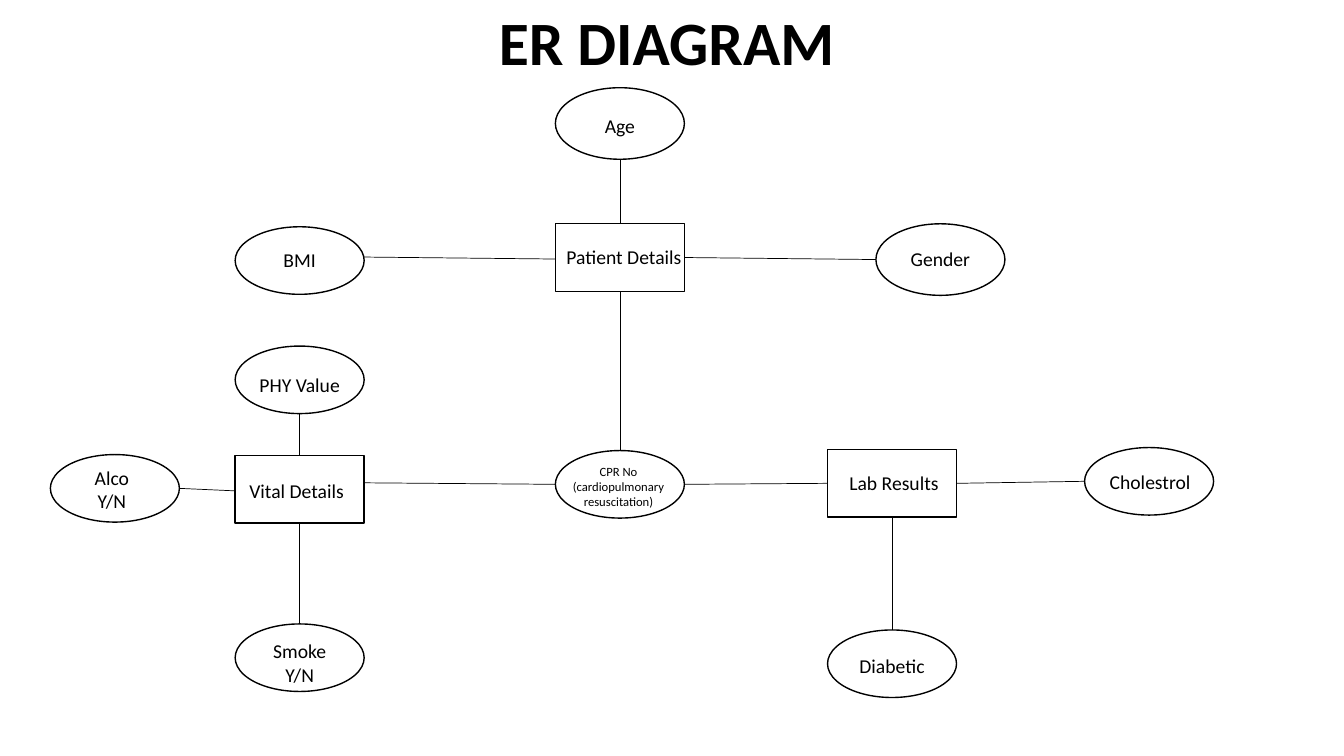
from lxml import etree
from pptx import Presentation
from pptx.dml.color import RGBColor
from pptx.enum.shapes import MSO_CONNECTOR, MSO_SHAPE
from pptx.enum.text import MSO_ANCHOR, MSO_AUTO_SIZE, PP_ALIGN
from pptx.oxml.ns import qn
from pptx.util import Inches, Pt

OVAL, RECT = MSO_SHAPE.OVAL, MSO_SHAPE.RECTANGLE
STRAIGHT = MSO_CONNECTOR.STRAIGHT
CENTER, MIDDLE = PP_ALIGN.CENTER, MSO_ANCHOR.MIDDLE
GROW = MSO_AUTO_SIZE.SHAPE_TO_FIT_TEXT
COLS, ROWS = 80, 45
NODE_W, NODE_H, TALL_H = 7.68, 4.02, 4.26

NODES = {
    "age": (OVAL, 33.06, 5.22, TALL_H),
    "patient": (RECT, 33.06, 13.32, NODE_H),
    "gender": (OVAL, 52.14, 13.32, TALL_H),
    "bmi": (OVAL, 14, 13.5, NODE_H),
    "cpr": (OVAL, 33.06, 26.82, NODE_H),
    "phy": (OVAL, 14, 20.6, NODE_H),
    "alco": (OVAL, 3, 27.06, NODE_H),
    "smoke": (OVAL, 14, 37.14, NODE_H),
    "cholestrol": (OVAL, 64.56, 26.64, NODE_H),
    "diabetic": (OVAL, 49.26, 37.5, NODE_H),
    "lab": (RECT, 49.26, 26.76, NODE_H),
    "vital": (RECT, 14, 27.12, NODE_H),
}

LABELS = [
    ("age", ["Age"], 0, 1.26),
    ("patient", ["Patient Details"], -0.06, 0.96, 8.28),
    ("gender", ["Gender"], 0, 1.08),
    ("bmi", ["BMI"], 0, 0.96),
    ("cpr", ["CPR No", "(cardiopulmonary resuscitation)"], -0.06, 0.48, 7.62, 9),
    ("phy", ["PHY Value"], 0, 1.3),
    ("alco", ["Alco", "Y/N"], -0.18, 0.36),
    ("smoke", ["Smoke", "Y/N"], 0, 0.6),
    ("cholestrol", ["Cholestrol"], 0.06, 1.02),
    ("diabetic", ["Diabetic"], 0, 1.14),
    ("lab", ["Lab Results"], 0.12, 0.96),
    ("vital", ["Vital Details"], -0.18, 1.08),
]

ACROSS = [
    ("bmi", "patient", -0.21, 0.09),
    ("patient", "gender"),
    ("alco", "vital", 0, 0.09),
    ("vital", "cpr", -0.39),
    ("cpr", "lab"),
    ("lab", "cholestrol"),
]

DOWN = [
    ("age", "patient"),
    ("patient", "cpr"),
    ("phy", "vital"),
    ("vital", "smoke"),
    ("lab", "diabetic"),
]


def rgb(value):
    return RGBColor.from_string(value)


class Diagram:
    font = "Calibri"
    ink = "000000"

    def __init__(self, prs):
        self.prs = prs
        self.slide = prs.slides.add_slide(prs.slide_layouts[5])
        self.nodes = {}

    def x(self, cols):
        return round(self.prs.slide_width * cols / COLS)

    def y(self, rows):
        return round(self.prs.slide_height * rows / ROWS)

    def box(self, left, top, width, height):
        return self.x(left), self.y(top), self.x(width), self.y(height)

    def set_text(self, p, text, size, bold=False):
        p.text = text
        p.alignment = CENTER
        p.font.name = self.font
        p.font.size = Pt(size)
        p.font.bold = bold
        p.font.color.rgb = rgb(self.ink)

    def title(self, text, left, top, width, height):
        sp = self.slide.shapes.title
        sp.left, sp.top, sp.width, sp.height = self.box(left, top, width, height)
        tf = sp.text_frame
        tf.vertical_anchor = MIDDLE
        p = tf.paragraphs[0]
        self.set_text(p, text, 44, True)
        p.line_spacing = 0.9

    def node(self, name, kind, left, top, height):
        sp = self.slide.shapes.add_shape(kind, *self.box(left, top, NODE_W, height))
        sp.shadow.inherit = False
        sp.fill.background()
        sp.line.color.rgb = rgb(self.ink)
        sp.line.width = Pt(1)
        self.nodes[name] = sp

    def label(self, name, lines, dx, dy, width=NODE_W, size=14):
        node = self.nodes[name]
        height = 2.04 if len(lines) == 1 else 3.42
        sp = self.slide.shapes.add_textbox(
            node.left + self.x(dx), node.top + self.y(dy), self.x(width), self.y(height))
        tf = sp.text_frame
        tf.word_wrap = True
        tf.auto_size = GROW
        for i, text in enumerate(lines):
            p = tf.add_paragraph() if i else tf.paragraphs[0]
            self.set_text(p, text, size)

    def line(self, x1, y1, x2, y2):
        cxn = self.slide.shapes.add_connector(STRAIGHT, x1, y1, x2, y2)
        cxn.line.color.rgb = rgb(self.ink)
        cxn.line.width = Pt(0.5)
        etree.SubElement(cxn._element.spPr, qn("a:effectLst"))

    def across(self, start, end, start_dy=0, end_dy=0):
        a, b = self.nodes[start], self.nodes[end]
        self.line(a.left + a.width, a.top + a.height // 2 + self.y(start_dy),
                  b.left, b.top + b.height // 2 + self.y(end_dy))

    def down(self, start, end):
        a, b = self.nodes[start], self.nodes[end]
        self.line(a.left + a.width // 2, a.top + a.height,
                  b.left + b.width // 2, b.top)


def main():
    prs = Presentation()
    prs.slide_width, prs.slide_height = Inches(13.33), Inches(7.5)
    er = Diagram(prs)
    er.title("ER DIAGRAM", 5.52, -0.78, 68.34, 6.96)
    for name, node in NODES.items():
        er.node(name, *node)
    for label in LABELS:
        er.label(*label)
    for link in ACROSS:
        er.across(*link)
    for link in DOWN:
        er.down(*link)
    prs.save("out.pptx")


if __name__ == "__main__":
    main()
